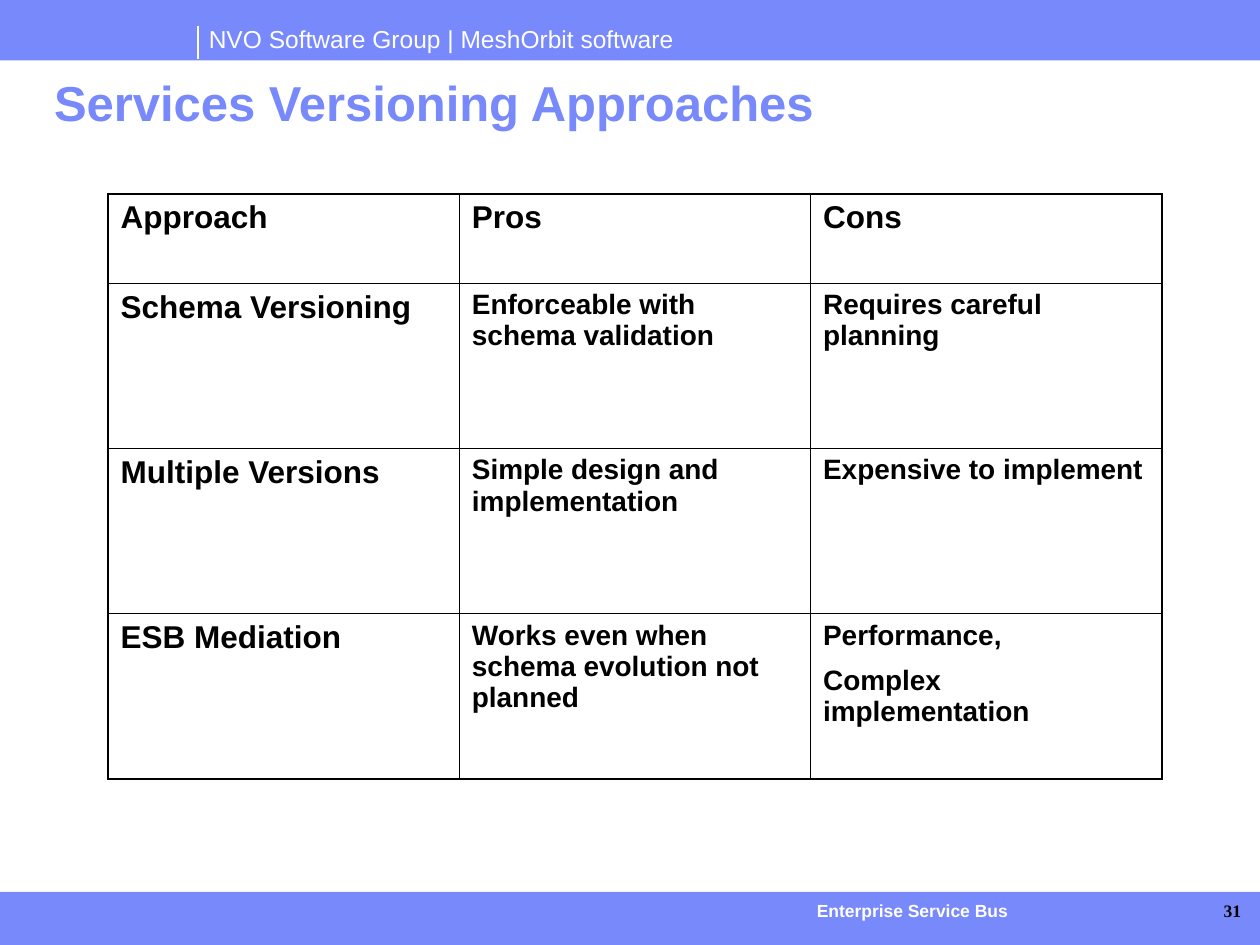
from lxml import etree
from pptx import Presentation
from pptx import util as u
from pptx.dml.color import RGBColor
from pptx.enum import shapes, text
from pptx.oxml import ns

COLORS = {"blue": "7889FB", "white": "FFFFFF", "black": "000000"}
THIN, THICK = 0.45, 1.08
ROWS = [
    ["Approach", "Pros", "Cons"],
    ["Schema Versioning", "Enforceable with schema validation", "Requires careful planning"],
    ["Multiple Versions", "Simple design and implementation", "Expensive to implement"],
    ["ESB Mediation", "Works even when schema evolution not planned",
     "Performance,\nComplex implementation"],
]


def color(name):
    return RGBColor.from_string(COLORS[name])


def style_font(paragraph, size, name, bold=False, family="Arial"):
    font = paragraph.font
    font.size, font.bold, font.name = u.Pt(size), bold, family
    font.color.rgb = color(name)


def add_band(slide, top, height):
    shape = slide.shapes.add_shape(
        shapes.MSO_SHAPE.RECTANGLE, 0, u.Cm(top), u.Cm(25.4), u.Cm(height))
    shape.shadow.inherit = False
    shape.fill.solid()
    shape.fill.fore_color.rgb = color("blue")
    shape.line.fill.background()


def add_rule(slide, x, top, bottom):
    connector = slide.shapes.add_connector(
        shapes.MSO_CONNECTOR.STRAIGHT, u.Cm(x), u.Cm(top), u.Cm(x), u.Cm(bottom))
    connector.line.color.rgb = color("white")
    connector.line.width = u.Pt(0.75)
    etree.SubElement(connector._element.spPr, ns.qn("a:effectLst"))


def add_text(slide, box, content, size, name, bold=False, family="Arial",
             align=text.PP_ALIGN.LEFT, inset=(0, 0), wrap=True, spacing=None):
    frame = slide.shapes.add_textbox(*map(u.Cm, box)).text_frame
    frame.word_wrap = wrap
    frame.margin_left = frame.margin_right = u.Cm(inset[0])
    frame.margin_top = frame.margin_bottom = u.Cm(inset[1])
    paragraph = frame.paragraphs[0]
    paragraph.text = content
    paragraph.alignment = align
    paragraph.line_spacing = spacing
    style_font(paragraph, size, name, bold, family)


def set_borders(cell, widths):
    """Draw the left, right, top and bottom borders, in that order."""
    properties = cell._tc.get_or_add_tcPr()
    for side, width in zip("LRTB", widths):
        line = etree.SubElement(properties, ns.qn("a:ln" + side), w=str(u.Pt(width)))
        fill = etree.SubElement(line, ns.qn("a:solidFill"))
        etree.SubElement(fill, ns.qn("a:srgbClr"), val=COLORS["black"])


def fill_cell(cell, content, size):
    cell.text = content
    for index, paragraph in enumerate(cell.text_frame.paragraphs):
        if index:
            paragraph.space_before = u.Pt(5)
        paragraph.space_after = u.Pt(3)
        style_font(paragraph, size, "black", bold=True)


def add_comparison(slide):
    last_row, last_column = len(ROWS) - 1, len(ROWS[0]) - 1
    table = slide.shapes.add_table(
        len(ROWS), len(ROWS[0]), u.Cm(2.18), u.Cm(3.91), u.Cm(21.24), u.Cm(11.79)).table
    table.first_row = table.horz_banding = False
    for column in table.columns:
        column.width = u.Cm(7.08)
    for r, contents in enumerate(ROWS):
        table.rows[r].height = u.Cm(3.33 if r else 1.8)
        for c, content in enumerate(contents):
            cell = table.cell(r, c)
            outer = (c == 0, c == last_column, r == 0, r == last_row)
            set_borders(cell, [THICK if edge else THIN for edge in outer])
            cell.fill.background()
            fill_cell(cell, content, 16 if r and c else 18)


def main():
    presentation = Presentation()
    presentation.slide_width, presentation.slide_height = u.Cm(25.4), u.Cm(19.05)
    slide = presentation.slides.add_slide(presentation.slide_layouts[6])

    # Header and footer bands
    add_band(slide, 17.98, 1.07)
    add_band(slide, 0, 1.22)
    add_text(slide, (3.96, 0.36, 10, 0.86), "NVO Software Group | MeshOrbit software",
             14, "white", inset=(0.25, 0.13), wrap=False)
    add_rule(slide, 3.99, 0.53, 1.19)
    add_text(slide, (14.4, 18.14, 7.98, 0.43), "Enterprise Service Bus",
             10, "white", bold=True, align=text.PP_ALIGN.CENTER)

    # Title
    add_text(slide, (0.84, 1.47, 23.93, 1.32), "Services Versioning Approaches",
             28, "blue", bold=True, inset=(0.25, 0.13), spacing=0.9)

    # Comparison table
    add_comparison(slide)

    # Slide number
    add_text(slide, (23.14, 18.14, 1.88, 0.43), "31", 10, "black", bold=True,
             family="Times New Roman", align=text.PP_ALIGN.RIGHT)

    presentation.save("out.pptx")


if __name__ == "__main__":
    main()
